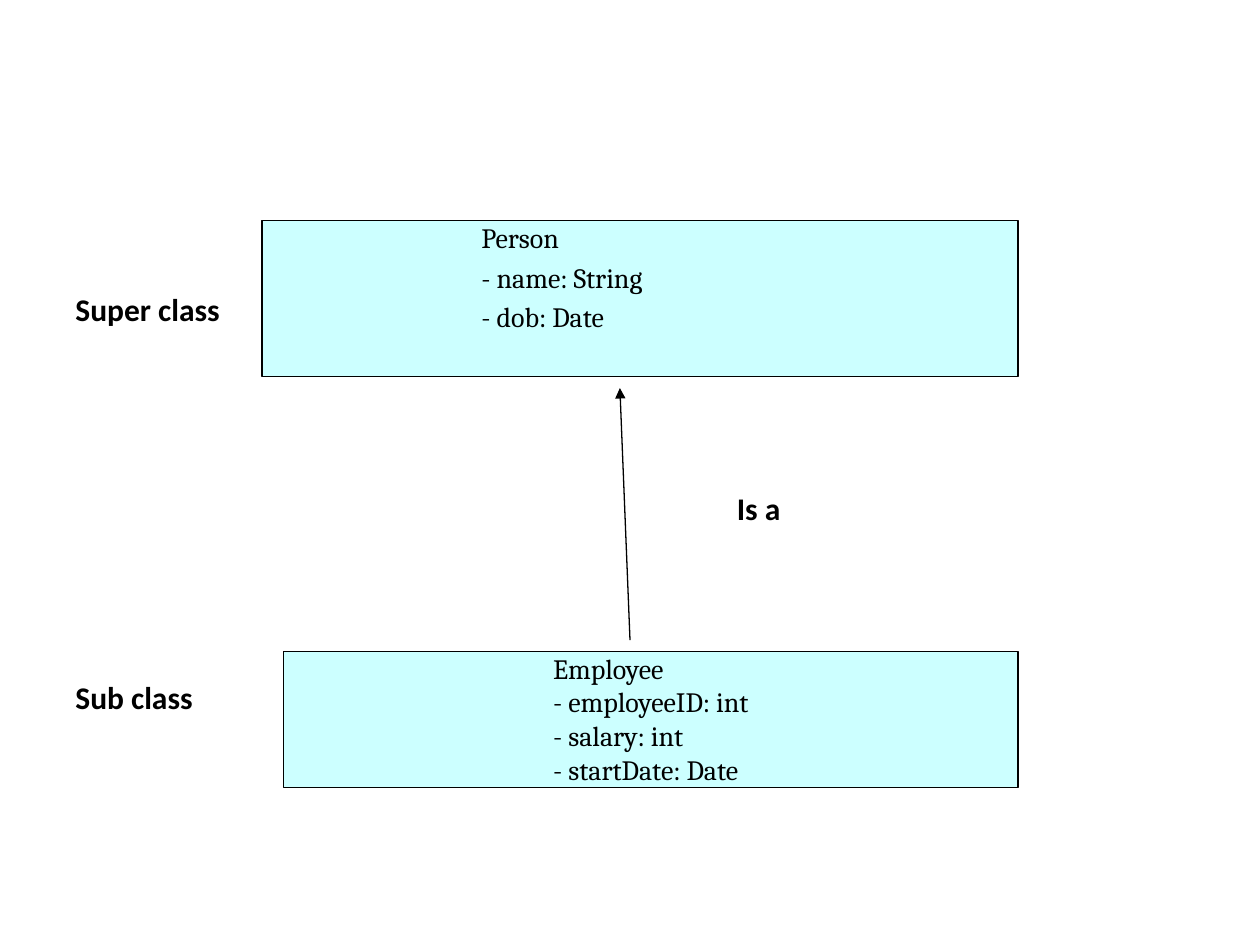
from lxml import etree
from pptx import Presentation
from pptx.dml.color import RGBColor
from pptx.enum.shapes import MSO_CONNECTOR, MSO_SHAPE
from pptx.enum.text import MSO_ANCHOR, MSO_AUTO_SIZE, PP_ALIGN
from pptx.oxml.ns import qn
from pptx.util import Inches, Pt

BLACK = RGBColor(0x00, 0x00, 0x00)
PALE_CYAN = RGBColor(0xCC, 0xFF, 0xFF)
STRAIGHT = MSO_CONNECTOR.STRAIGHT
RECTANGLE = MSO_SHAPE.RECTANGLE
TOP = MSO_ANCHOR.TOP
NO_AUTOFIT = MSO_AUTO_SIZE.NONE
LEFT = PP_ALIGN.LEFT


class ClassDiagram:
    """Style and drawing methods for a class diagram on one slide."""

    member_font, member_size = "Cambria", Pt(16)
    label_font, label_size = "Calibri", Pt(18)
    line_width = Pt(0.75)

    def __init__(self, slide):
        self.slide = slide

    def set_lines(self, frame, lines, font, size, bold=False, gap=0):
        """Fill a text frame with one left-aligned paragraph per line."""
        frame.text = "\n".join(lines)
        for paragraph in frame.paragraphs:
            paragraph.alignment = LEFT
            paragraph.space_before = Pt(gap)
            paragraph.font.name = font
            paragraph.font.size = size
            paragraph.font.bold = bold
            paragraph.font.color.rgb = BLACK

    def class_box(self, box, members, text_inset, gap=0):
        """Style a box and list a class name and its fields in it."""
        box.fill.solid()
        box.fill.fore_color.rgb = PALE_CYAN
        box.line.color.rgb = BLACK
        box.line.width = self.line_width
        frame = box.text_frame
        frame.auto_size = NO_AUTOFIT
        frame.word_wrap = True
        frame.vertical_anchor = TOP
        frame.margin_left = Inches(text_inset)
        frame.margin_top = frame.margin_right = frame.margin_bottom = 0
        self.set_lines(frame, members, self.member_font, self.member_size,
                       gap=gap)

    def body_class(self, left, top, width, height, members, text_inset, gap):
        """Turn the body placeholder into a class box without bullets."""
        body = self.slide.placeholders[1]
        body.left, body.top = Inches(left), Inches(top)
        body.width, body.height = Inches(width), Inches(height)
        self.class_box(body, members, text_inset, gap)
        for paragraph in body.text_frame.paragraphs:
            properties = paragraph._p.get_or_add_pPr()
            properties.set("marL", "0")
            properties.set("indent", "0")
            etree.SubElement(properties, qn("a:buNone"))
            # Bullet settings come before the default run properties.
            defaults = properties.find(qn("a:defRPr"))
            if defaults is not None:
                properties.append(defaults)

    def shape_class(self, left, top, width, height, members, text_inset):
        """Add a class box as a rectangle."""
        box = self.slide.shapes.add_shape(
            RECTANGLE, Inches(left), Inches(top), Inches(width), Inches(height))
        box.shadow.inherit = False
        self.class_box(box, members, text_inset)

    def label(self, left, top, width, text):
        """Add a bold label."""
        frame = self.slide.shapes.add_textbox(
            Inches(left), Inches(top), Inches(width), Inches(0.4)).text_frame
        frame.word_wrap = True
        self.set_lines(frame, [text], self.label_font, self.label_size,
                       bold=True)

    def arrow(self, start, end):
        """Draw an arrow from start to end."""
        connector = self.slide.shapes.add_connector(
            STRAIGHT, *(Inches(length) for length in (*start, *end)))
        connector.line.color.rgb = BLACK
        connector.line.width = self.line_width
        etree.SubElement(connector.line._get_or_add_ln(), qn("a:tailEnd"),
                         type="triangle")
        etree.SubElement(connector._element.spPr, qn("a:effectLst"))


def main():
    """Build the inheritance slide and save it."""
    deck = Presentation()
    deck.slide_width, deck.slide_height = Inches(10), Inches(7.5)
    slide = deck.slides.add_slide(deck.slide_layouts[1])
    title = slide.shapes.title._element
    title.getparent().remove(title)

    diagram = ClassDiagram(slide)
    diagram.body_class(2.08, 1.75, 6, 1.24,
                       ["Person", "- name: String", "- dob: Date"],
                       text_inset=1.74, gap=3.5)
    diagram.arrow((5, 5.08), (4.92, 3.08))
    diagram.shape_class(2.25, 5.17, 5.83, 1.08,
                        ["Employee", "- employeeID: int", "- salary: int",
                         "- startDate: Date"], text_inset=2.14)
    for left, top, width, text in ((0.5, 2.25, 1.42, "Super class"),
                                   (0.5, 5.33, 1.42, "Sub class"),
                                   (5.75, 3.83, 2.17, "Is a")):
        diagram.label(left, top, width, text)
    deck.save("out.pptx")


main()
